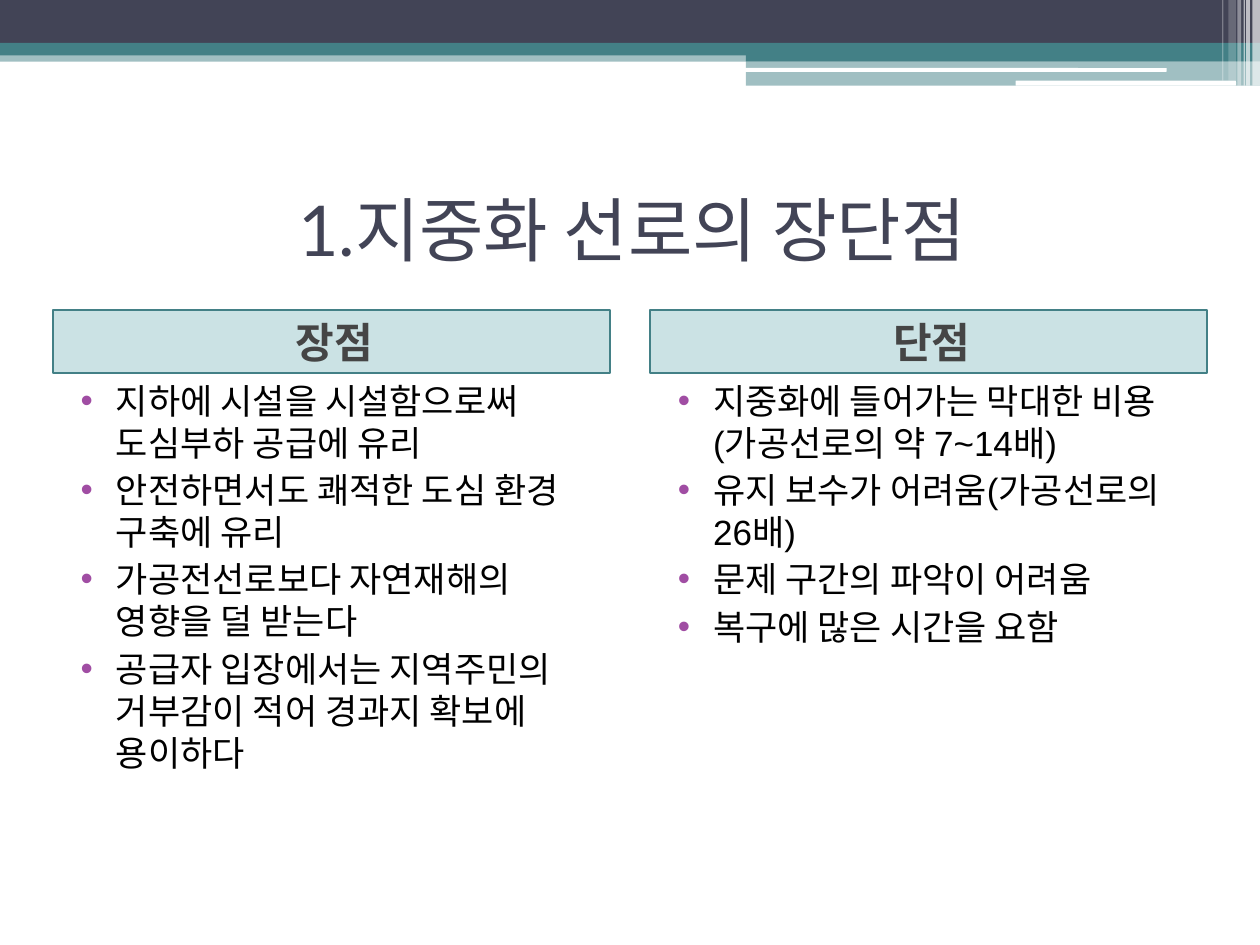
"""Build a comparison slide on the pros and cons of underground power lines."""
from lxml.etree import SubElement
from pptx import Presentation
from pptx.dml.color import RGBColor as RGB
from pptx.enum.shapes import MSO_SHAPE as Kind
from pptx.enum.text import MSO_ANCHOR as Anchor, MSO_AUTO_SIZE as Fit, PP_ALIGN as Align
from pptx.oxml.ns import qn
from pptx.util import Inches, Pt

NAVY = RGB(0x42, 0x44, 0x56)
TEAL = RGB(0x43, 0x80, 0x86)
AQUA = RGB(0x32, 0x8E, 0x97)
GREY = RGB(0x45, 0x45, 0x45)
PLUM = RGB(0xA0, 0x4D, 0xA3)
BLACK = RGB(0, 0, 0)
WHITE = RGB(255, 255, 255)
HEAD, SERIF, SANS = "Lato", "TeX Gyre Schola", "Arial"
COLS, ROWS = 100, 75


class Deck:
    """Hold the style and the current slide, on a grid of 100 columns and 75 rows."""

    def __init__(self):
        self.prs = Presentation()
        self.prs.slide_width, self.prs.slide_height = Inches(10), Inches(7.5)
        self.slide = self.prs.slides.add_slide(self.prs.slide_layouts[4])

    def place(self, x, y, w, h):
        col, row = self.prs.slide_width / COLS, self.prs.slide_height / ROWS
        return [round(n) for n in (x * col, y * row, w * col, h * row)]

    def paint(self, shape, color, alpha=100):
        shape.fill.solid()
        shape.fill.fore_color.rgb = color
        if alpha < 100:
            tint = shape.element.spPr.find(".//" + qn("a:srgbClr"))
            SubElement(tint, qn("a:alpha"), val=str(alpha * 1000))

    def bar(self, box, color, alpha=100, kind=Kind.RECTANGLE):
        shape = self.slide.shapes.add_shape(kind, *self.place(*box))
        shape.shadow.inherit = False
        shape.line.fill.background()
        self.paint(shape, color, alpha)

    def holder(self, idx, box, anchor):
        shape = self.slide.placeholders[idx]
        shape.left, shape.top, shape.width, shape.height = self.place(*box)
        shape.element.getparent().append(shape.element)
        frame = shape.text_frame
        frame.auto_size = Fit.NONE
        frame.word_wrap = True
        frame.vertical_anchor = anchor
        return shape

    def add_runs(self, para, runs, size, color, bold=False):
        for text, face in runs:
            run = para.add_run()
            run.text = text
            font = run.font
            font.name, font.size, font.bold = face, Pt(size), bold
            font.color.rgb = color

    def indent(self, para, left, first):
        para.space_before = Pt(3)
        props = para._p.get_or_add_pPr()
        props.set("marL", str(Inches(left)))
        props.set("indent", str(Inches(first)))
        return props

    def title(self, text, box):
        para = self.holder(0, box, Anchor.MIDDLE).text_frame.paragraphs[0]
        para.alignment = Align.CENTER
        self.add_runs(para, [(text, HEAD)], 40, NAVY)

    def label(self, idx, text, box):
        shape = self.holder(idx, box, Anchor.MIDDLE)
        self.paint(shape, AQUA, 25)
        shape.line.color.rgb = TEAL
        shape.line.width = Pt(1)
        para = shape.text_frame.paragraphs[0]
        para.alignment = Align.CENTER
        self.indent(para, 0.05, 0)
        self.add_runs(para, [(text, SERIF)], 24, GREY, True)

    def points(self, idx, items, box):
        frame = self.holder(idx, box, Anchor.TOP).text_frame
        for num, runs in enumerate(items):
            para = frame.add_paragraph() if num else frame.paragraphs[0]
            props = self.indent(para, 0.4, -0.28)
            tint = SubElement(props, qn("a:buClr"))
            SubElement(tint, qn("a:srgbClr"), val=str(PLUM))
            SubElement(props, qn("a:buFont"), typeface=SANS)
            SubElement(props, qn("a:buChar"), char="•")
            self.add_runs(para, runs, 20, BLACK)


BARS = [
    ((0, 4, 100, 0.9), TEAL, 50),
    ((0, 0, 100, 3.4), NAVY),
    ((0, 3.4, 100, 1), TEAL),
    ((59.2, 3.9, 40.8, 0.95), TEAL),
    ((59.2, 4.8, 40.8, 2), TEAL, 50),
    ((59.1, 5.4, 33.5, 0.3), WHITE, 100, Kind.ROUNDED_RECTANGLE),
    ((80.6, 6.4, 17.5, 0.4), WHITE, 100, Kind.ROUNDED_RECTANGLE),
]
STRIPES = [
    (99.4, 0.6, 6.8, 65), (98.9, 0.3, 6.8, 65), (98.7, 0.1, 6.8, 60),
    (98.2, 0.3, 6.8, 40), (97.5, 0.6, 6.4, 20), (97, 0.1, 6.4, 30),
]
PROS = [
    [("지하에 시설을 시설함으로써 도심부하 공급에 유리", SERIF)],
    [("안전하면서도 쾌적한 도심 환경 구축에 유리", SERIF)],
    [("가공전선로보다 자연재해의 영향을 덜 받는다", SERIF)],
    [("공급자 입장에서는 지역주민의 거부감이 적어 경과지 확보에 용이하다", SERIF)],
]
CONS = [
    [("지중화에 들어", SERIF), ("가는 막대한 비용(가공선로의 약 7~14배)", SANS)],
    [("유지 보수가 어려움(가공선로의 26배)", SANS)],
    [("문제 구간의 파악이 어려움", SANS)],
    [("복구에 많은 시간을 요함", SANS)],
]
SIDES = [("장점", PROS), ("단점", CONS)]
EDGE, WIDE, STEP = 4.2, 44.2, 47.4

deck = Deck()
for band in BARS:
    deck.bar(*band)
for x, w, h, alpha in STRIPES:
    deck.bar((x, 0, w, h), WHITE, alpha)
deck.title("1.지중화 선로의 장단점", (4.3, 12.3, 91.7, 11.7))
for side, (name, items) in enumerate(SIDES):
    left = EDGE + side * STEP
    deck.label(1 + 2 * side, name, (left, 24.6, WIDE, 5))
    deck.points(2 + 2 * side, items, (left, 29.6, WIDE, 42.5))
deck.prs.save("out.pptx")
